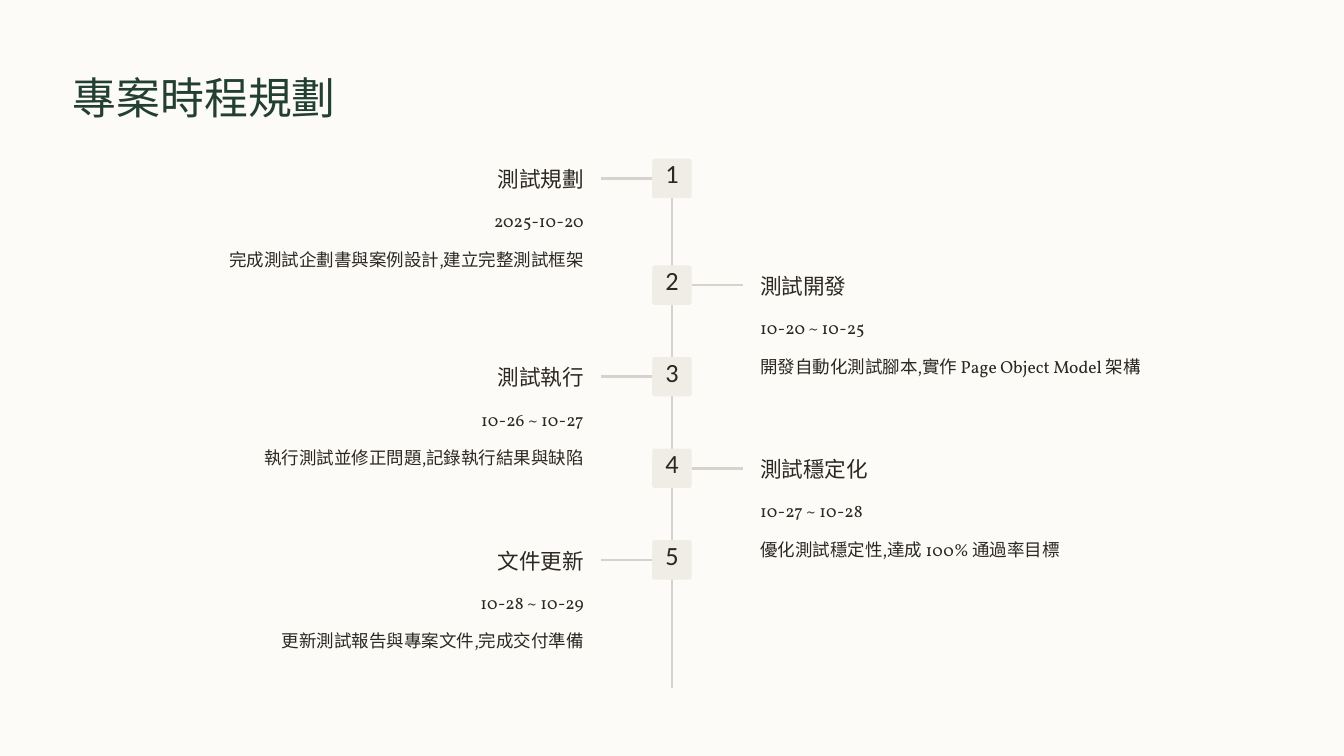
from lxml.etree import SubElement
from pptx import Presentation
from pptx.dml.color import RGBColor
from pptx.enum.shapes import MSO_CONNECTOR, MSO_SHAPE
from pptx.enum.text import MSO_ANCHOR, PP_ALIGN
from pptx.oxml.ns import qn
from pptx.util import Pt

PAPER, GREEN, INK, RULE, BADGE = "FCFBF8", "233E32", "2C2821", "D6D3CC", "F0EDE6"
HEADING, BODY = "Calibri", "Vollkorn"
BADGE_SIZE = 33.8
STEPS = [
    (136.1, "測試規劃", "2025-10-20", "完成測試企劃書與案例設計,建立完整測試框架"),
    (227.5, "測試開發", "10-20 ~ 10-25", "開發自動化測試腳本,實作 Page Object Model 架構"),
    (306, "測試執行", "10-26 ~ 10-27", "執行測試並修正問題,記錄執行結果與缺陷"),
    (384.5, "測試穩定化", "10-27 ~ 10-28", "優化測試穩定性,達成 100% 通過率目標"),
    (463, "文件更新", "10-28 ~ 10-29", "更新測試報告與專案文件,完成交付準備"),
]


def color(value):
    return RGBColor.from_string(value)


def write(sp, text, size, spacing, font, ink, align, top=0):
    tf = sp.text_frame
    tf.word_wrap = True
    tf.vertical_anchor = MSO_ANCHOR.TOP
    tf.margin_left = tf.margin_right = tf.margin_bottom = 0
    tf.margin_top = Pt(top)
    tf.text = text
    p = tf.paragraphs[0]
    p.alignment = align
    p.line_spacing = Pt(spacing)
    r = p.runs[0]
    r.font.size = Pt(size)
    r.font.color.rgb = color(ink)
    r.font.name = font
    SubElement(r.font._element, qn("a:ea")).set("typeface", font)


def add_text(s, x, y, w, h, *style):
    sp = s.shapes.add_textbox(Pt(x), Pt(y), Pt(w), Pt(h))
    write(sp, *style)


def add_rule(s, x1, y1, x2, y2):
    line = s.shapes.add_connector(MSO_CONNECTOR.STRAIGHT, Pt(x1), Pt(y1), Pt(x2), Pt(y2))
    line.line.color.rgb = color(RULE)
    line.line.width = Pt(2.16)
    SubElement(line._element.spPr, qn("a:effectLst"))
    return line


def add_badge(s, axis, top, number):
    sp = s.shapes.add_shape(MSO_SHAPE.ROUNDED_RECTANGLE, Pt(axis - BADGE_SIZE / 2), Pt(top),
                            Pt(BADGE_SIZE), Pt(BADGE_SIZE))
    sp.adjustments[0] = 0.067
    sp.shadow.inherit = False
    sp.fill.solid()
    sp.fill.fore_color.rgb = color(BADGE)
    sp.line.fill.background()
    write(sp, str(number), 22.5, 22.5, HEADING, INK, PP_ALIGN.CENTER, 2.9)
    return sp


def add_step(s, axis, top, number, title, date, detail):
    """Odd steps stand left of the axis, even steps right of it."""
    left = number % 2 == 1
    side = -1 if left else 1
    align = PP_ALIGN.RIGHT if left else PP_ALIGN.LEFT
    middle = top + BADGE_SIZE / 2
    badge = add_badge(s, axis, top, number)
    stub = add_rule(s, axis + side * BADGE_SIZE / 2, middle, axis + side * 60.5, middle)
    stub.begin_connect(badge, 1 if left else 3)

    edge = axis + side * 75.6
    rows = [(title, 5, 190, 18.5, 23.5, HEADING),
            (date, 38.2, 437.8, 15, 24, BODY),
            (detail, 71.3, 437.8, 15, 24, BODY)]
    for text, dy, w, size, spacing, font in rows:
        add_text(s, edge - w if left else edge, top + dy, w, spacing,
                 text, size, spacing, font, INK, align)


def add_timeline(s, axis, top, bottom):
    add_rule(s, axis, top, axis, bottom)
    for number, (step_top, *texts) in enumerate(STEPS, 1):
        add_step(s, axis, step_top, number, *texts)


def main():
    prs = Presentation()
    prs.slide_width, prs.slide_height = Pt(1152), Pt(648)
    s = prs.slides.add_slide(prs.slide_layouts[6])
    s.background.fill.solid()
    s.background.fill.fore_color.rgb = color(PAPER)
    add_text(s, 62.6, 58.3, 379.4, 47.5, "專案時程規劃", 37.5, 47, HEADING, GREEN, PP_ALIGN.LEFT)
    add_timeline(s, 576, 136.1, 589.7)
    prs.save("out.pptx")


if __name__ == "__main__":
    main()
